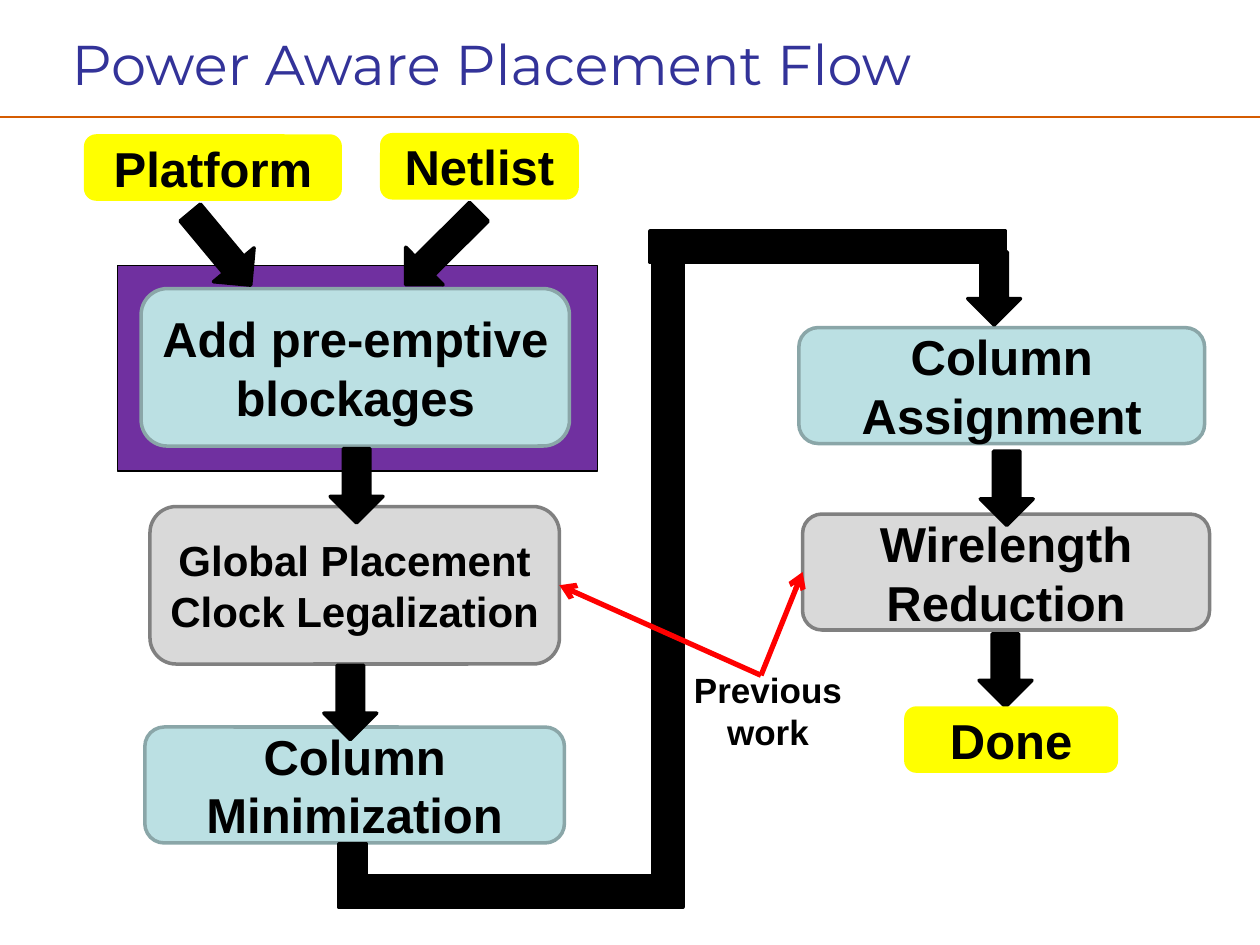
from lxml.etree import SubElement
from pptx import Presentation
from pptx.dml.color import RGBColor
from pptx.enum.shapes import MSO_CONNECTOR, MSO_SHAPE
from pptx.enum.text import MSO_ANCHOR, PP_ALIGN
from pptx.oxml.ns import qn
from pptx.util import Inches, Pt

# Content: places are left, top, width, height on a grid of 100 columns by 75 rows
COLS, ROWS = 100, 75
HEX = {"ink": "000000", "title": "333399", "rule": "D55C01", "panel": "7030A0",
       "new": "BBE0E3", "newline": "8AA6A8", "old": "D9D9D9", "oldline": "808080",
       "end": "FFFF00", "link": "FF0000"}
KINDS = {"new": ("new", "newline"), "old": ("old", "oldline"), "end": ("end", "end")}
TITLE = "Power Aware Placement Flow"
NOTE = ["Previous", "work"]
STEPS = [
    (["Add pre-emptive blockages"], "new", 28, (11.2, 22.9, 34, 12.5)),
    (["Global Placement", "Clock Legalization"], "old", 24, (11.9, 40.2, 32.5, 12.5)),
    (["Column Minimization"], "new", 28, (11.5, 57.7, 33.3, 9.2)),
    (["Column Assignment"], "new", 28, (63.4, 26, 32.2, 9.2)),
    (["Wirelength Reduction"], "old", 28, (63.7, 40.8, 32.3, 9.2)),
]
ENDS = [
    (["Netlist"], "end", 28, (30.3, 10.7, 15.5, 5)),
    (["Platform"], "end", 28, (6.8, 10.8, 20.2, 5)),
    (["Done"], "end", 28, (71.9, 56.2, 16.7, 5)),
]
# Arrows: middle column, top row, length, turn
WIDE = 4.2
ARROWS = [(28.3, 35.6, 5.9, 0), (27.8, 52.8, 5.9, 0), (78.9, 20, 5.8, 0),
          (79.9, 35.8, 5.9, 0), (79.8, 50.3, 5.8, 0),
          (17.5, 16, 7.5, 320.2), (35.1, 15.6, 8.2, 45.2)]
# Bars of the long path from the left column to the right one
BARS = [(26.9, 67, 2.2, 5), (26.9, 69.5, 24.9, 2.5),
        (51.8, 18.3, 2.4, 53.7), (51.6, 18.35, 28.2, 2.5)]
PANEL = (9.3, 21.1, 38.1, 16.3)
ROOT = (60.4, 53.6)

deck = Presentation()
deck.slide_width, deck.slide_height = Inches(10), Inches(7.5)
slide = deck.slides.add_slide(deck.slide_layouts[6])
shapes = slide.shapes
unit_x, unit_y = deck.slide_width / COLS, deck.slide_height / ROWS


def place(*spots):
    return [round(v * (unit_y if i % 2 else unit_x)) for i, v in enumerate(spots)]


def tint(name):
    return RGBColor.from_string(HEX[name])


def write(shape, lines, size, color="ink", font="Arial", bold=True,
          align=PP_ALIGN.CENTER):
    frame = shape.text_frame
    for i, line in enumerate(lines):
        para = frame.add_paragraph() if i else frame.paragraphs[0]
        para.text, para.alignment = line, align
        para.font.name, para.font.size = font, Pt(size)
        para.font.bold, para.font.color.rgb = bold, tint(color)
    return frame


def draw(kind, spot, fill, edge, width=2):
    shape = shapes.add_shape(kind, *place(*spot))
    shape.shadow.inherit = False
    shape.fill.solid()
    shape.fill.fore_color.rgb = tint(fill)
    shape.line.color.rgb = tint(edge)
    shape.line.width = Pt(width)
    return shape


def box(lines, kind, size, spot):
    shape = draw(MSO_SHAPE.ROUNDED_RECTANGLE, spot, *KINDS[kind])
    frame = write(shape, lines, size)
    frame.word_wrap, frame.vertical_anchor = True, MSO_ANCHOR.MIDDLE
    return shape


def join(start, stop, color, width):
    line = shapes.add_connector(MSO_CONNECTOR.STRAIGHT, *place(*start, *stop))
    line.line.color.rgb = tint(color)
    line.line.width = Pt(width)
    SubElement(line._element.spPr, qn("a:effectLst"))
    return line


# Title and rule
join((0, 9.3), (COLS, 9.3), "rule", 1)
head = shapes.add_textbox(*place(4.7, 1.1, 90.5, 7.8))
frame = write(head, [TITLE], 32, "title", "Montserrat", False, PP_ALIGN.LEFT)
frame.word_wrap, frame.vertical_anchor = True, MSO_ANCHOR.MIDDLE

# Panel and steps
draw(MSO_SHAPE.RECTANGLE, PANEL, "panel", "ink", 0.75)
steps = [box(*step) for step in STEPS]

# Flow
for bar in BARS:
    draw(MSO_SHAPE.RECTANGLE, bar, "ink", "ink")
for mid, top, tall, turn in ARROWS:
    arrow = draw(MSO_SHAPE.DOWN_ARROW, (mid - WIDE / 2, top, WIDE, tall), "ink", "ink")
    arrow.rotation = turn

# Inputs and finish
for end in ENDS:
    box(*end)

# Links from the note to earlier work
for step, side in ((steps[1], 3), (steps[4], 1)):
    link = join(ROOT, ROOT, "link", 3)
    link.end_connect(step, side)
    SubElement(link.line._get_or_add_ln(), qn("a:tailEnd"), type="arrow")

note = shapes.add_textbox(*place(54, 52.6, 13.9, 7.7))
write(note, NOTE, 20).word_wrap = False

deck.save("out.pptx")
